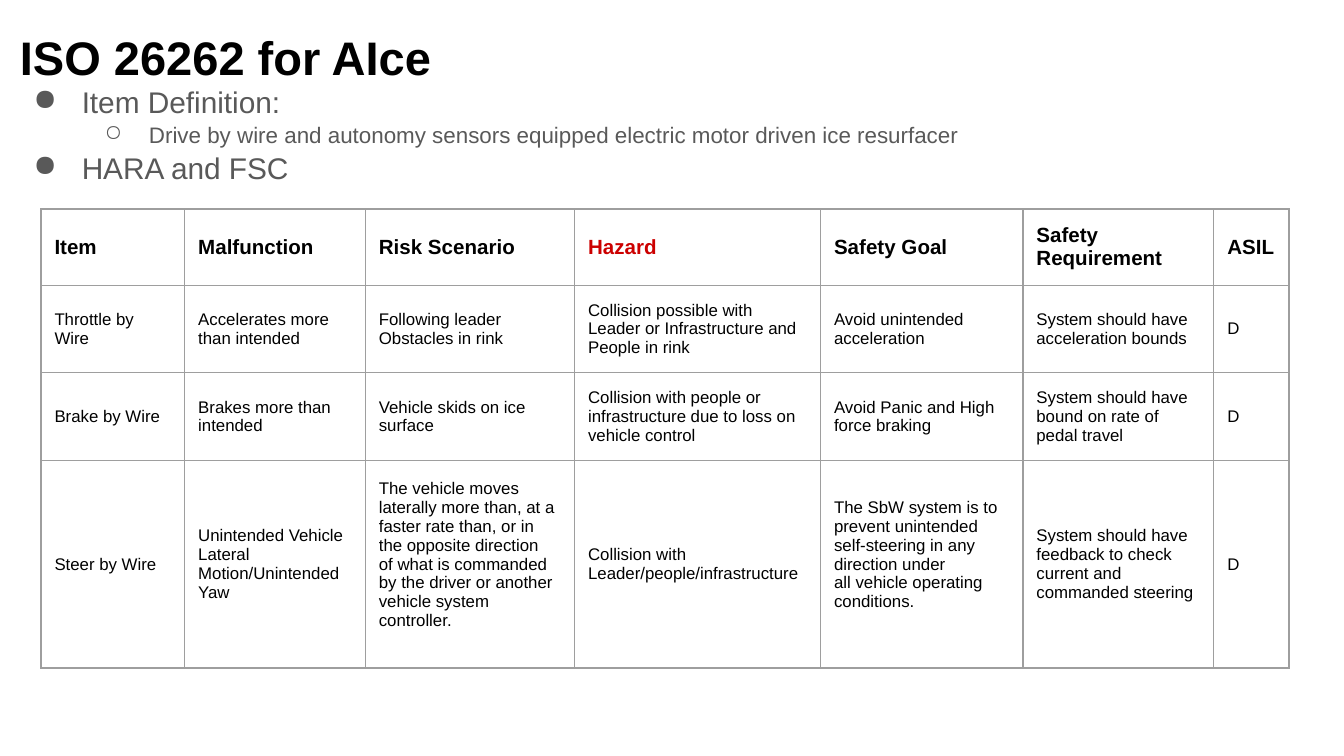
from pptx import Presentation
from pptx.dml.color import RGBColor
from pptx.enum.text import MSO_ANCHOR as Anchor
from pptx.oxml import parse_xml
from pptx.oxml.ns import nsdecls
from pptx.util import Pt

COLORS = {"black": "000000", "grey": "595959", "red": "CC0000", "border": "9E9E9E"}
PAD = 7.2


def style(paragraph, size, color, bold=False):
    for run in paragraph.runs:
        run.font.name = "Arial"
        run.font.size = Pt(size)
        run.font.bold = bold
        run.font.color.rgb = RGBColor.from_string(COLORS[color])


def add_text_frame(slide, left, top, width, height, anchor):
    frame = slide.shapes.add_textbox(Pt(left), Pt(top), Pt(width), Pt(height)).text_frame
    frame.word_wrap = True
    frame.vertical_anchor = anchor
    frame.margin_left = frame.margin_right = Pt(PAD)
    frame.margin_top = frame.margin_bottom = Pt(PAD)
    return frame


prs = Presentation()
prs.slide_width, prs.slide_height = Pt(720), Pt(405)
slide = prs.slides.add_slide(prs.slide_layouts[6])

# Title
title = add_text_frame(slide, 3.6, 7.2, 671, 45.4, Anchor.BOTTOM)
title.text = "ISO 26262 for AIce"
style(title.paragraphs[0], 25.2, "black", bold=True)

# Bulleted outline: text and level
outline_items = [
    ("Item Definition:", 0),
    ("Drive by wire and autonomy sensors equipped electric motor driven ice resurfacer", 1),
    ("HARA and FSC", 0),
]
level_styles = [("●", 16, 36, 25.9), ("○", 12, 72, 23.8)]  # bullet, size, indent, hanging
outline = add_text_frame(slide, 0.7, 36.7, 671, 69.8, Anchor.MIDDLE)
outline.text = "\n".join(text for text, _ in outline_items)
for item, (_, level) in zip(outline.paragraphs, outline_items):
    bullet, size, indent, hanging = level_styles[level]
    item.level = level
    item.line_spacing = 1.05
    props = item._p.get_or_add_pPr()
    props.set("marL", str(Pt(indent)))
    props.set("indent", str(-Pt(hanging)))
    props.append(parse_xml(
        f'<a:buClr {nsdecls("a")}><a:srgbClr val="{COLORS["grey"]}"/></a:buClr>'))
    props.append(parse_xml(f'<a:buChar {nsdecls("a")} char="{bullet}"/>'))
    style(item, size, "grey")

# Hazard analysis table
hazard_rows = [
    ["Item", "Malfunction", "Risk Scenario", "Hazard", "Safety Goal",
     "Safety Requirement", "ASIL"],
    ["Throttle by Wire", "Accelerates more than intended",
     "Following leader\nObstacles in rink",
     "Collision possible with Leader or Infrastructure and People in rink",
     "Avoid unintended acceleration", "System should have acceleration bounds", "D"],
    ["Brake by Wire", "Brakes more than intended", "Vehicle skids on ice surface",
     "Collision with people or infrastructure due to loss on vehicle control",
     "Avoid Panic and High force braking",
     "System should have bound on rate of pedal travel", "D"],
    ["Steer by Wire", "Unintended Vehicle Lateral Motion/Unintended Yaw",
     "The vehicle moves laterally more than, at a faster rate than, "
     "or in the opposite direction\n"
     "of what is commanded by the driver or another vehicle system controller.",
     "Collision with Leader/people/infrastructure",
     "The SbW system is to prevent unintended self-steering in any direction under\n"
     "all vehicle operating conditions.",
     "System should have feedback to check current and commanded steering", "D"],
]
column_widths = [77, 96.8, 112.1, 131.8, 108.4, 102.3, 40.2]
row_heights = [38.7, 44.6, 44.8, 105.2]
raised_cells = {(3, 2), (3, 4)}  # long texts that sit one line higher

hazards = slide.shapes.add_table(
    len(row_heights), len(column_widths), Pt(22), Pt(112),
    Pt(sum(column_widths)), Pt(sum(row_heights))).table
hazards.first_row = hazards.horz_banding = False
for column, width in zip(hazards.columns, column_widths):
    column.width = Pt(width)
for row, height in zip(hazards.rows, row_heights):
    row.height = Pt(height)

for r, texts in enumerate(hazard_rows):
    for c, text in enumerate(texts):
        cell = hazards.cell(r, c)
        cell.text_frame.text = text
        cell.vertical_anchor = Anchor.MIDDLE
        cell.margin_left = cell.margin_right = cell.margin_top = Pt(PAD)
        cell.margin_bottom = Pt(PAD + 10.2 if (r, c) in raised_cells else PAD)
        for side in "LRTB":
            cell._tc.get_or_add_tcPr().append(parse_xml(
                f'<a:ln{side} {nsdecls("a")} w="{Pt(0.75)}"><a:solidFill>'
                f'<a:srgbClr val="{COLORS["border"]}"/></a:solidFill></a:ln{side}>'))
        cell.fill.background()
        is_header = r == 0
        for paragraph in cell.text_frame.paragraphs:
            style(paragraph, 11 if is_header else 9,
                  "red" if text == "Hazard" else "black", bold=is_header)

prs.save("out.pptx")
